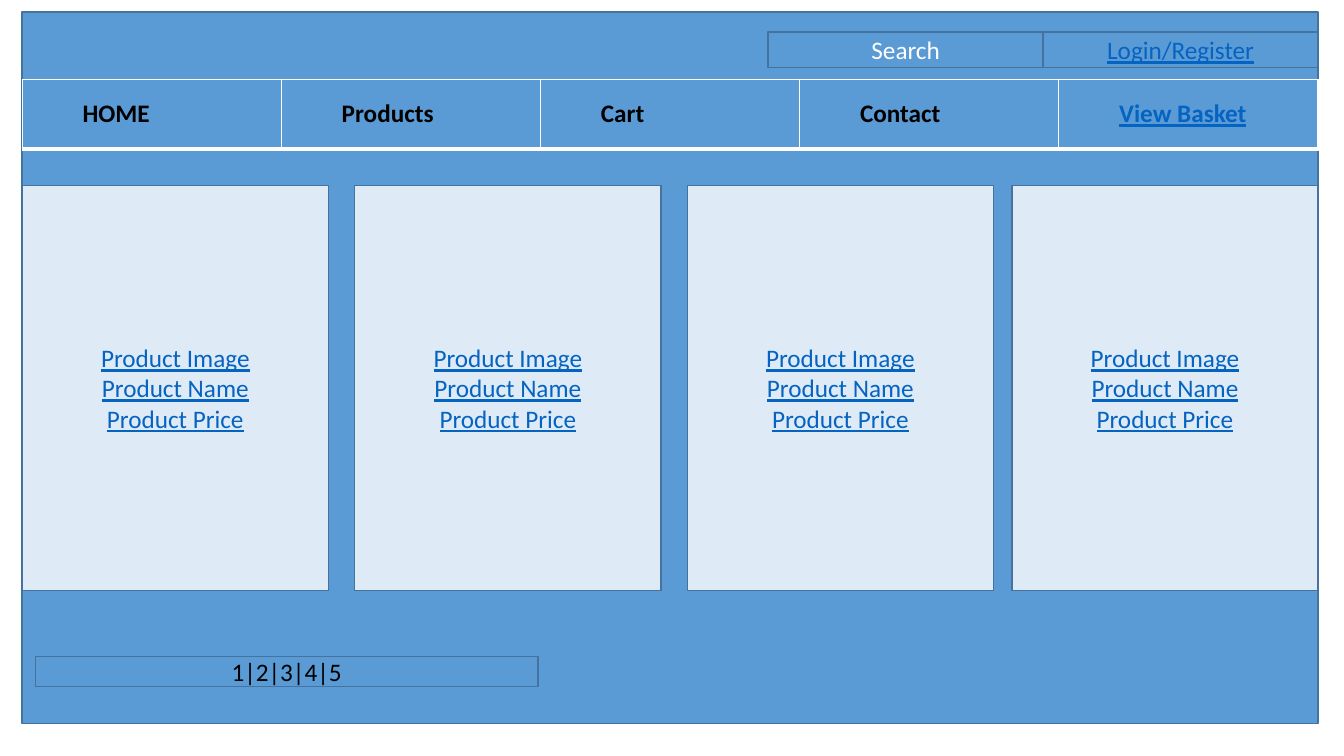
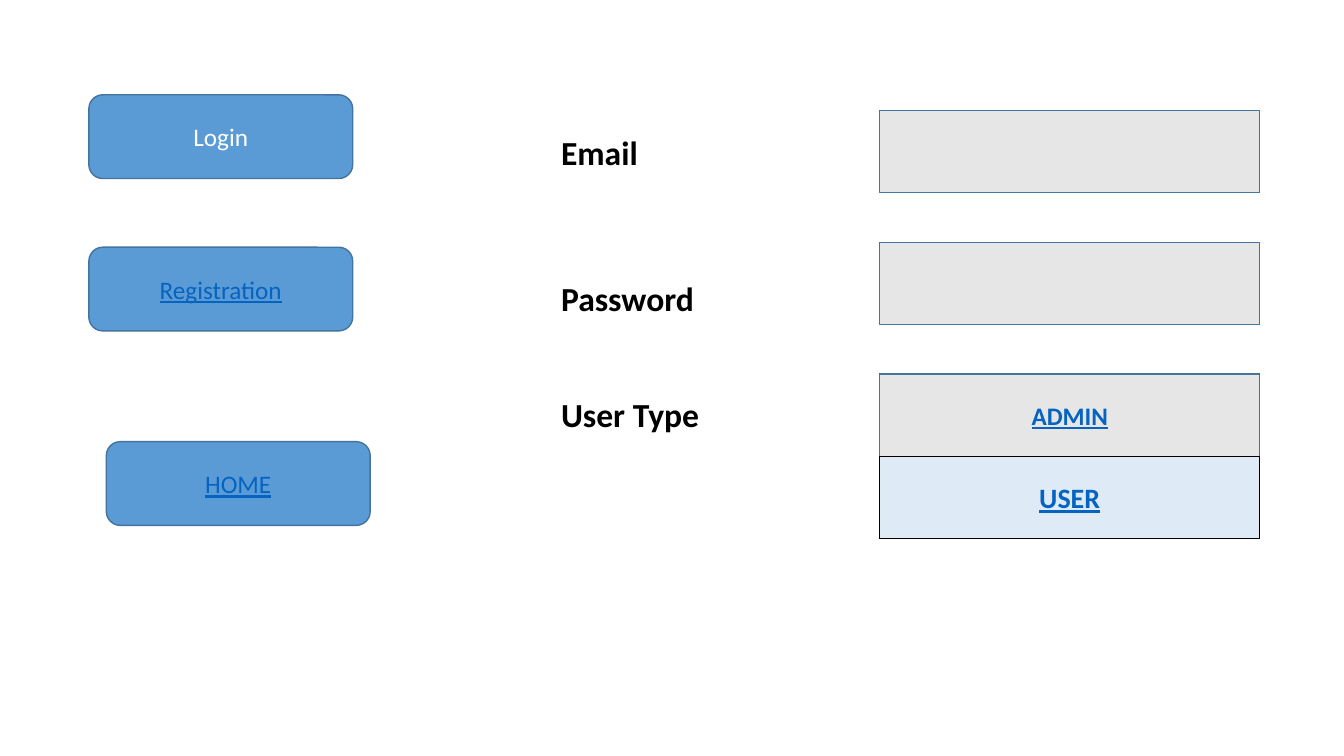
from lxml import etree
from pptx import Presentation
from pptx.dml.color import RGBColor
from pptx.enum.shapes import MSO_SHAPE
from pptx.enum.text import MSO_ANCHOR, PP_ALIGN
from pptx.oxml.ns import qn
from pptx.util import Cm, Pt

RECTANGLE = MSO_SHAPE.RECTANGLE
ROUNDED = MSO_SHAPE.ROUNDED_RECTANGLE
MIDDLE = MSO_ANCHOR.MIDDLE
CENTER = PP_ALIGN.CENTER

BLUE = RGBColor(0x5B, 0x9B, 0xD5)
OUTLINE = RGBColor(0x43, 0x73, 0x9E)
PALE_BLUE = RGBColor(0xDE, 0xEB, 0xF7)
GREY = RGBColor(0xE7, 0xE6, 0xE6)
LINK = RGBColor(0x05, 0x63, 0xC1)
WHITE = RGBColor(0xFF, 0xFF, 0xFF)
BLACK = RGBColor(0x00, 0x00, 0x00)

FONT = "Calibri"
BLANK_LAYOUT = 6


def style_text(paragraph, text, color, size=18, bold=False):
    """Fill a paragraph; text in the link colour is underlined."""
    paragraph.text = text
    font = paragraph.font
    font.name, font.size, font.bold = FONT, Pt(size), bold
    font.color.rgb = color
    font.underline = color == LINK


def add_box(slide, left, top, width, height, lines=(), color=LINK, fill=BLUE,
            outline=OUTLINE, kind=RECTANGLE, size=18, bold=False):
    """Draw an outlined box with centred lines of text; lengths in cm."""
    shape = slide.shapes.add_shape(kind, Cm(left), Cm(top), Cm(width), Cm(height))
    shape.shadow.inherit = False
    shape.fill.solid()
    shape.fill.fore_color.rgb = fill
    shape.line.color.rgb = outline
    shape.line.width = Pt(1)
    frame = shape.text_frame
    frame.word_wrap = True
    frame.vertical_anchor = MIDDLE
    for index, line in enumerate(lines):
        paragraph = frame.add_paragraph() if index else frame.paragraphs[0]
        paragraph.alignment = CENTER
        style_text(paragraph, line, color, size, bold)


def add_label(slide, left, top, width, text):
    label = slide.shapes.add_textbox(Cm(left), Cm(top), Cm(width), Cm(1.28))
    label.text_frame.word_wrap = True
    style_text(label.text_frame.paragraphs[0], text, BLACK, 24, True)


def set_cell_borders(cell, color, widths):
    """Add borders; widths maps L, R, T and B, in that order, to points."""
    properties = cell._tc.get_or_add_tcPr()
    for side, width in widths.items():
        line = etree.SubElement(properties, qn(f"a:ln{side}"), w=str(Pt(width)))
        fill = etree.SubElement(line, qn("a:solidFill"))
        etree.SubElement(fill, qn("a:srgbClr"), val=str(color))


def add_account_bar(slide, left, top, width, height):
    half = width / 2
    for index, (text, color) in enumerate([("Search", WHITE), ("Login/Register", LINK)]):
        add_box(slide, left + index * half, top, half, height, [text], color)


def add_menu(slide, left, top, width, height):
    items = ["HOME", "Products", "Cart", "Contact", "View Basket"]
    table = slide.shapes.add_table(1, len(items), Cm(left), Cm(top),
                                   Cm(width), Cm(height)).table
    table.first_row = table.horz_banding = False
    for index, item in enumerate(items):
        table.columns[index].width = Cm(width / len(items))
        cell = table.cell(0, index)
        cell.margin_left = Cm(1.52)
        cell.vertical_anchor = MIDDLE
        set_cell_borders(cell, WHITE, {"L": 1, "R": 1, "T": 1, "B": 3})
        cell.fill.solid()
        cell.fill.fore_color.rgb = BLUE
        color = LINK if item == "View Basket" else BLACK
        style_text(cell.text_frame.paragraphs[0], item, color, bold=True)


def add_product_cards(slide, left, top, width, height):
    card_width, pitch = 7.72, 8.38
    offsets = [0, pitch, 2 * pitch, width - card_width]
    for offset in offsets:
        add_box(slide, left + offset, top, card_width, height,
                ["Product Image", "Product Name", "Product Price"], fill=PALE_BLUE)


def build_shop_slide(presentation, left, top, width, height):
    slide = presentation.slides.add_slide(presentation.slide_layouts[BLANK_LAYOUT])
    add_box(slide, left, top, width, height)
    bar_width = 13.86
    add_account_bar(slide, left + width - bar_width, top + 0.51, bar_width, 0.89)
    add_menu(slide, left, top + 1.7, width, 1.75)
    add_product_cards(slide, left, top + 4.37, width, 10.21)
    add_box(slide, left + 0.33, top + 16.24, 12.67, 0.76, ["1|2|3|4|5"], BLACK)


def add_page_buttons(slide, left, top):
    buttons = [("Login", WHITE, 0, 0), ("Registration", LINK, 0, 3.84),
               ("HOME", LINK, 0.44, 8.74)]
    for text, color, across, down in buttons:
        add_box(slide, left + across, top + down, 6.65, 2.11, [text], color,
                kind=ROUNDED)


def add_login_form(slide, left, top):
    labels = [("Email", 0.41, 6.3), ("Password", 4.09, 4.01), ("User Type", 7.02, 5.23)]
    for text, down, label_width in labels:
        add_label(slide, left, top + down, label_width, text)

    field_left, field_width, field_height, pitch = left + 8.28, 9.58, 2.07, 3.32
    for index in range(2):
        add_box(slide, field_left, top + index * pitch, field_width, field_height,
                fill=GREY)

    choice_top = top + 2 * pitch
    add_box(slide, field_left, choice_top, field_width, 2 * field_height,
            fill=WHITE, outline=BLACK)
    choices = [("ADMIN", GREY, OUTLINE, 18), ("USER", PALE_BLUE, BLACK, 20)]
    for index, (text, fill, outline, size) in enumerate(choices):
        add_box(slide, field_left, choice_top + index * field_height, field_width,
                field_height, [text], fill=fill, outline=outline, size=size, bold=True)


def build_login_slide(presentation):
    slide = presentation.slides.add_slide(presentation.slide_layouts[BLANK_LAYOUT])
    add_login_form(slide, 13.89, 2.79)
    add_page_buttons(slide, 2.24, 2.39)


def main():
    presentation = Presentation()
    presentation.slide_width = Cm(33.87)
    presentation.slide_height = Cm(19.05)
    build_shop_slide(presentation, 0.56, 0.3, 32.66, 17.93)
    build_login_slide(presentation)
    presentation.save("out.pptx")


if __name__ == "__main__":
    main()
